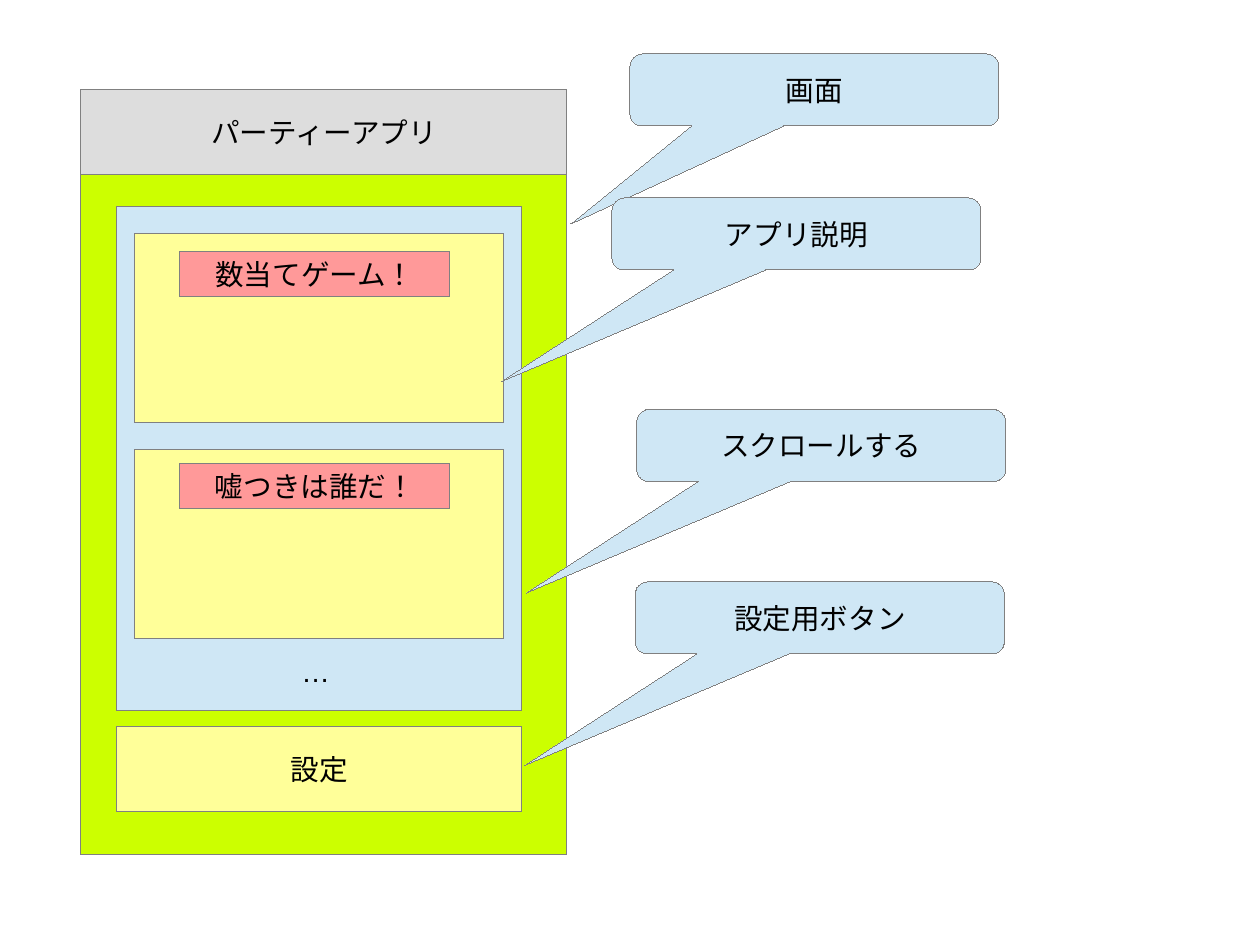
from pptx import Presentation
from pptx.dml.color import RGBColor
from pptx.enum.lang import MSO_LANGUAGE_ID
from pptx.enum.shapes import MSO_SHAPE
from pptx.enum.text import MSO_ANCHOR, MSO_AUTO_SIZE, PP_ALIGN
from pptx.util import Emu, Mm, Pt

THEME = {
    "screen": "CCFF00", "header": "DDDDDD", "pale blue": "CFE7F5",
    "card": "FFFF99", "title": "FF9999", "line": "808080", "text": "000000",
    "font": "Arial", "size": Pt(18), "hairline": Emu(1),
}
COLUMNS, ROWS = 280, 210

presentation = Presentation()
presentation.slide_width = Mm(280)
presentation.slide_height = Mm(210)
slide = presentation.slides.add_slide(presentation.slide_layouts[6])
column = presentation.slide_width / COLUMNS
row = presentation.slide_height / ROWS


def write(shape, text, alignment):
    paragraph = shape.text_frame.paragraphs[0]
    paragraph.alignment = alignment
    run = paragraph.add_run()
    run.text = text
    run.font.name = THEME["font"]
    run.font.size = THEME["size"]
    run.font.color.rgb = RGBColor.from_string(THEME["text"])
    run.font.language_id = MSO_LANGUAGE_ID.JAPANESE


def add_box(kind, left, top, width, height, color, text=""):
    """Place a filled, outlined shape, measured in grid columns and rows."""
    shape = slide.shapes.add_shape(
        kind, round(left * column), round(top * row),
        round(width * column), round(height * row))
    shape.shadow.inherit = False
    shape.fill.solid()
    shape.fill.fore_color.rgb = RGBColor.from_string(THEME[color])
    shape.line.color.rgb = RGBColor.from_string(THEME["line"])
    shape.line.width = THEME["hairline"]
    if text:
        shape.text_frame.vertical_anchor = MSO_ANCHOR.MIDDLE
        write(shape, text, PP_ALIGN.CENTER)
    return shape


# App screen: frame, header, scrolling list and settings button
for left, top, width, height, color, text in [
    (18, 20, 108, 170, "screen", ""),
    (18, 20, 108, 18.8, "header", "パーティーアプリ"),
    (26, 46, 90, 112, "pale blue", ""),
    (26, 161.5, 90, 18.8, "card", "設定"),
]:
    add_box(MSO_SHAPE.RECTANGLE, left, top, width, height, color, text)

# Game cards, each with its title
for card_top, title_top, title in [
    (52, 56, "数当てゲーム！"),
    (100, 103, "嘘つきは誰だ！"),
]:
    add_box(MSO_SHAPE.RECTANGLE, 30, card_top, 82, 42, "card")
    add_box(MSO_SHAPE.RECTANGLE, 40, title_top, 60, 10, "title", title)

more_games = slide.shapes.add_textbox(
    round(64.5 * column), round(144 * row), round(11.4 * column), round(11 * row))
more_games.text_frame.word_wrap = False
more_games.text_frame.auto_size = MSO_AUTO_SIZE.SHAPE_TO_FIT_TEXT
write(more_games, "…", PP_ALIGN.LEFT)

# Callouts: the tip is a share of the callout's size, from its centre
for left, top, tip_x, tip_y, text in [
    (140, 12, -0.66, 1.86, "画面"),
    (136, 44, -0.8, 2.05, "アプリ説明"),
    (141.5, 91, -0.8, 2.05, "スクロールする"),
    (141.2, 129.3, -0.8, 2.05, "設定用ボタン"),
]:
    callout = add_box(MSO_SHAPE.ROUNDED_RECTANGULAR_CALLOUT,
                      left, top, 82, 16, "pale blue", text)
    callout.text_frame.word_wrap = False
    callout.adjustments[0] = tip_x
    callout.adjustments[1] = tip_y
    callout.adjustments[2] = 0.17

presentation.save("out.pptx")
